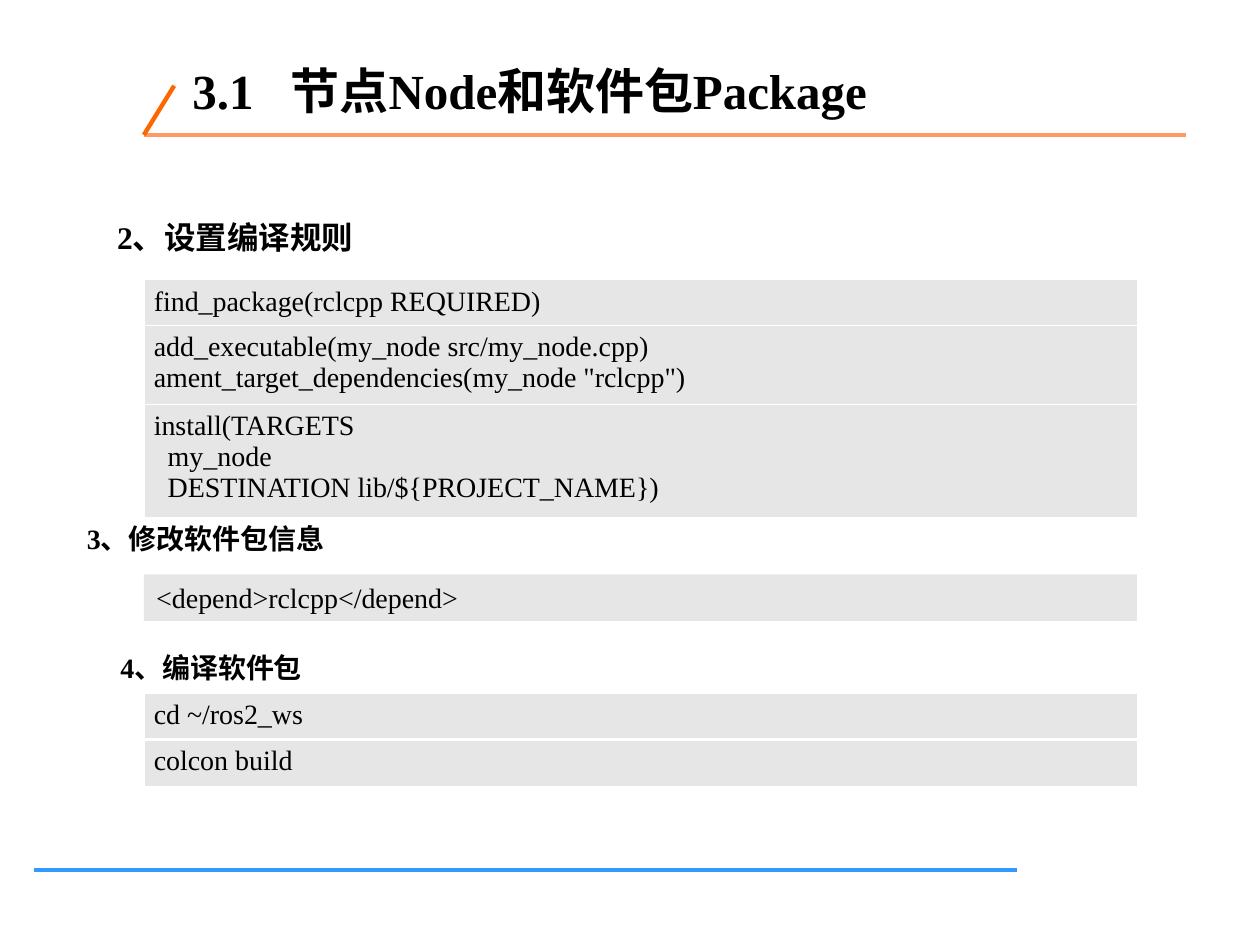
from collections import namedtuple
from dataclasses import dataclass

import pptx
import pptx.dml.color
import pptx.enum.shapes
import pptx.enum.text
import pptx.oxml
import pptx.oxml.ns
import pptx.util

Cm = pptx.util.Cm
Pt = pptx.util.Pt
Align = pptx.enum.text.PP_ALIGN
Box = namedtuple("Box", "x y w h")


@dataclass(frozen=True)
class Theme:
    font: str = "Times New Roman"
    ink: str = "000000"
    fill: str = "E6E6E6"
    edge: str = "FFFFFF"
    rule: str = "FF9966"
    slash: str = "FF6600"
    base: str = "3399FF"
    title: int = 28
    lead: int = 18
    body: int = 16
    line: float = 0.68


THEME = Theme()


def color(code):
    return pptx.dml.color.RGBColor.from_string(code)


def write(frame, lines, size, bold=False, align=Align.JUSTIFY):
    frame.word_wrap = True
    for row, line in enumerate(lines):
        para = frame.paragraphs[0] if row == 0 else frame.add_paragraph()
        para.alignment = align
        run = para.add_run()
        run.text = line
        run.font.name = THEME.font
        run.font.size = Pt(size)
        run.font.bold = bold
        run.font.color.rgb = color(THEME.ink)


def stroke(slide, start, end, tint, width):
    line = slide.shapes.add_connector(
        pptx.enum.shapes.MSO_CONNECTOR.STRAIGHT, *map(Cm, start + end))
    line.line.color.rgb = color(tint)
    line.line.width = Pt(width)
    pptx.oxml.ns.qn("a:effectLst")
    line._element.spPr.append(pptx.oxml.parse_xml(
        f'<a:effectLst {pptx.oxml.ns.nsdecls("a")}/>'))


def head(slide, box, text):
    floor = box.y + box.h
    stroke(slide, (box.x, floor), (box.x + box.w, floor), THEME.rule, 2.5)
    stroke(slide, (box.x, floor), (box.x + 0.61, floor - 0.99), THEME.slash, 2.5)
    area = slide.shapes.add_textbox(
        Cm(box.x + 0.73), Cm(box.y), Cm(16.41), Cm(box.h + 0.08))
    frame = area.text_frame
    frame.vertical_anchor = pptx.enum.text.MSO_ANCHOR.MIDDLE
    props = frame.paragraphs[0]._p.get_or_add_pPr()
    props.append(pptx.oxml.parse_xml(
        f'<a:tabLst {pptx.oxml.ns.nsdecls("a")}>'
        f'<a:tab pos="{Cm(1.98)}" algn="l"/></a:tabLst>'))
    write(frame, [text], THEME.title, True, Align.LEFT)


def foot(slide, box):
    stroke(slide, (box.x, box.y), (box.x + box.w, box.y), THEME.base, 2.25)


def step(slide, box, text, size):
    area = slide.shapes.add_textbox(*map(Cm, box))
    write(area.text_frame, [text], size, True)


def edge(cell, side, width):
    cell._tc.get_or_add_tcPr().append(pptx.oxml.parse_xml(
        f'<a:{side} {pptx.oxml.ns.nsdecls("a")} w="{Pt(width)}"><a:solidFill>'
        f'<a:srgbClr val="{THEME.edge}"/></a:solidFill></a:{side}>'))


def code(slide, box, rows):
    table = slide.shapes.add_table(len(rows), 1, *map(Cm, box)).table
    table.first_row = False
    table.horz_banding = False
    for index, lines in enumerate(rows):
        table.rows[index].height = Cm(THEME.line * len(lines))
        cell = table.cell(index, 0)
        cell.margin_left = cell.margin_right = Cm(0.2)
        cell.margin_top = cell.margin_bottom = Cm(0.13)
        last = index == len(rows) - 1 and index > 0
        widths = {"lnL": 0.45, "lnR": 0.45,
                  "lnT": 1.47 if index else 0.45,
                  "lnB": 0.45 if last else 1.47}
        for side, width in widths.items():
            edge(cell, side, width)
        cell.fill.solid()
        cell.fill.fore_color.rgb = color(THEME.fill)
        write(cell.text_frame, lines, THEME.body)


def panel(slide, box, text):
    shape = slide.shapes.add_shape(
        pptx.enum.shapes.MSO_SHAPE.RECTANGLE, *map(Cm, box))
    shape.shadow.inherit = False
    shape.fill.solid()
    shape.fill.fore_color.rgb = color(THEME.fill)
    shape.line.fill.background()
    shape.text_frame.vertical_anchor = pptx.enum.text.MSO_ANCHOR.TOP
    write(shape.text_frame, [text], THEME.body, align=Align.LEFT)


def main():
    deck = pptx.Presentation()
    deck.slide_width, deck.slide_height = Cm(25.4), Cm(19.05)
    slide = deck.slides.add_slide(deck.slide_layouts[6])

    left, wide = 2.9, 20.02
    head(slide, Box(left, 0.84, 21, 1.88), "3.1\t节点Node和软件包Package")
    foot(slide, Box(0.69, 17.53, 19.81, 0))

    step(slide, Box(2.11, 4.27, 13.21, 1.02), "2、设置编译规则", THEME.lead)
    rules = [
        (5.64, ["find_package(rclcpp REQUIRED)"]),
        (6.55, ["add_executable(my_node src/my_node.cpp)",
                'ament_target_dependencies(my_node "rclcpp")']),
        (8.15, ["install(TARGETS",
                "  my_node",
                "  DESTINATION lib/${PROJECT_NAME})"]),
    ]
    for top, lines in rules:
        code(slide, Box(left, top, wide, THEME.line * len(lines)), [lines])

    step(slide, Box(1.5, 10.39, 12.7, 0.94), "3、修改软件包信息", THEME.body)
    panel(slide, Box(left, 11.58, wide, 0.94), "<depend>rclcpp</depend>")

    step(slide, Box(2.18, 12.98, 12.7, 0.94), "4、编译软件包", THEME.body)
    code(slide, Box(left, 13.97, wide, THEME.line * 2),
         [["cd ~/ros2_ws"], ["colcon build"]])

    deck.save("out.pptx")


if __name__ == "__main__":
    main()
